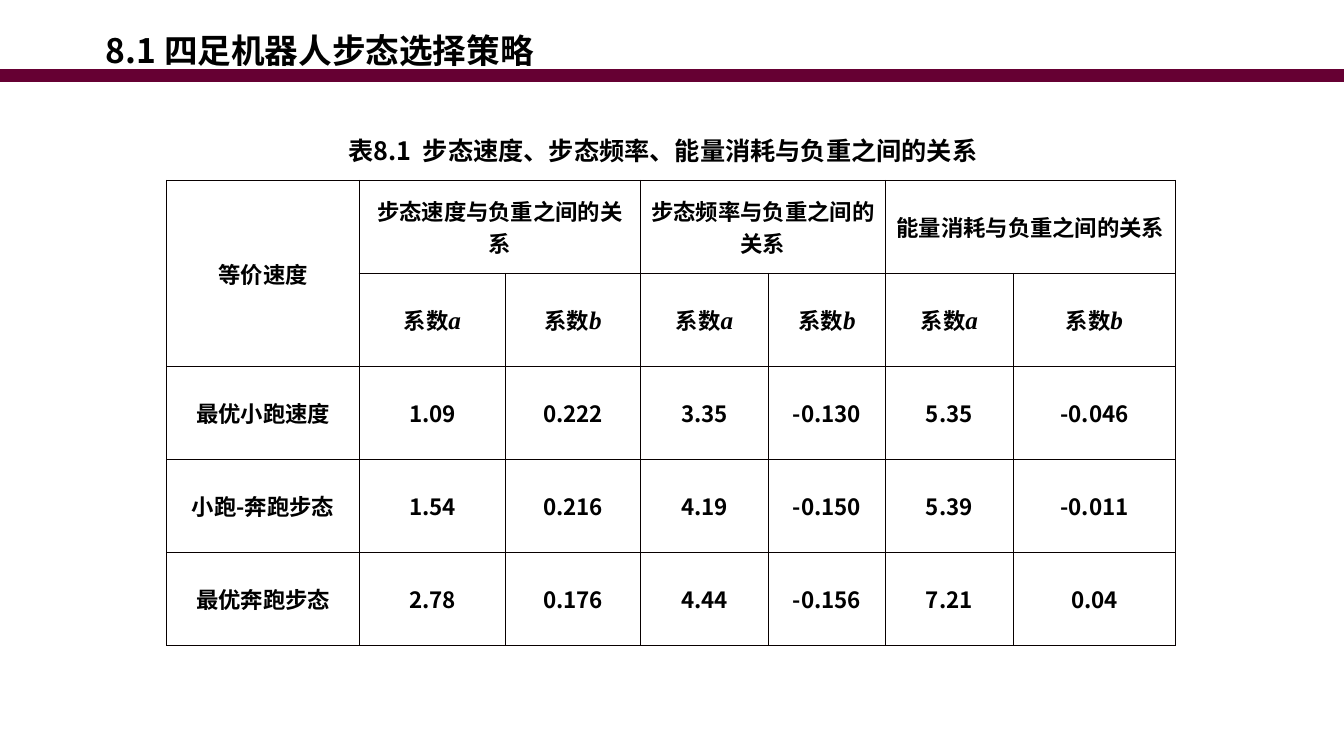
import pptx
import pptx.dml.color
import pptx.enum.shapes
import pptx.enum.text
import pptx.oxml.ns
import pptx.util
from lxml import etree

Pt = pptx.util.Pt
qn = pptx.oxml.ns.qn
Align = pptx.enum.text.PP_ALIGN
Anchor = pptx.enum.text.MSO_ANCHOR
COLORS = {"text": "000000", "bar": "660033", "border": "080000"}
SANS = "Noto Sans CJK SC"
SERIF = "Times New Roman"


def write(para, text, size, face=SANS, italic=False):
    span = para.add_run()
    span.text = text
    formats = {"size": Pt(size), "name": face, "bold": True, "italic": italic}
    for name, value in formats.items():
        setattr(span.font, name, value)
    span.font.color.rgb = pptx.dml.color.RGBColor.from_string(COLORS["text"])
    etree.SubElement(span.font._element, qn("a:ea"), typeface=face)


def add_borders(cell):
    properties = cell._tc.get_or_add_tcPr()
    for index, side in enumerate(("lnL", "lnR", "lnT", "lnB")):
        line = etree.Element(qn(f"a:{side}"), w=str(Pt(1)))
        fill = etree.SubElement(line, qn("a:solidFill"))
        etree.SubElement(fill, qn("a:srgbClr"), val=COLORS["border"])
        properties.insert(index, line)


deck = pptx.Presentation()
deck.slide_width, deck.slide_height = Pt(960), Pt(540)
page = deck.slides.add_slide(deck.slide_layouts[5])

bar = page.shapes.add_connector(
    pptx.enum.shapes.MSO_CONNECTOR.STRAIGHT, Pt(0), Pt(54), Pt(960), Pt(54))
bar.line.width = Pt(9)
bar.line.color.rgb = pptx.dml.color.RGBColor.from_string(COLORS["bar"])
etree.SubElement(bar._element.spPr, qn("a:effectLst"))

title = page.shapes.title
caption = page.shapes.add_textbox(Pt(0), Pt(0), Pt(0), Pt(0))
headings = (
    (title, (68.4, 18, 348.5, 36), "8.1 四足机器人步态选择策略", 24, Align.LEFT),
    (caption, (123.1, 92.9, 700.6, 241.2),
     "表8.1  步态速度、步态频率、能量消耗与负重之间的关系", 18, Align.CENTER),
)
for box, place, text, size, align in headings:
    for name, value in zip(("left", "top", "width", "height"), place):
        setattr(box, name, Pt(value))
    frame = {"word_wrap": True, "vertical_anchor": Anchor.TOP,
             "auto_size": pptx.enum.text.MSO_AUTO_SIZE.NONE}
    for name, value in frame.items():
        setattr(box.text_frame, name, value)
    para = box.text_frame.paragraphs[0]
    para.alignment = align
    write(para, text, size)

widths = (137.5, 104.4, 96.5, 91.4, 83.5, 91.4, 115.9)
relations = ("步态速度与负重之间的关系", "步态频率与负重之间的关系", "能量消耗与负重之间的关系")
rows = [
    ["等价速度"] + [text for relation in relations for text in (relation, "")],
    [""] + ["a", "b"] * len(relations),
    ["最优小跑速度", "1.09", "0.222", "3.35", "-0.130", "5.35", "-0.046"],
    ["小跑-奔跑步态", "1.54", "0.216", "4.19", "-0.150", "5.39", "-0.011"],
    ["最优奔跑步态", "2.78", "0.176", "4.44", "-0.156", "7.21", "0.04"],
]
row_height = 66.4
table = page.shapes.add_table(
    len(rows), len(widths), Pt(119.2), Pt(128.9),
    Pt(sum(widths)), Pt(row_height * len(rows))).table
table.first_row = table.horz_banding = False
for column, width in zip(table.columns, widths):
    column.width = Pt(width)
for row in table.rows:
    row.height = Pt(row_height)

table.cell(0, 0).merge(table.cell(1, 0))
for start in range(1, len(widths), 2):
    table.cell(0, start).merge(table.cell(0, start + 1))

cell_format = {"margin_left": Pt(5), "margin_right": Pt(5), "margin_top": 0,
               "margin_bottom": 0, "vertical_anchor": Anchor.MIDDLE}
for row_index, texts in enumerate(rows):
    for column_index, text in enumerate(texts):
        cell = table.cell(row_index, column_index)
        for name, value in cell_format.items():
            setattr(cell, name, value)
        cell.fill.background()
        add_borders(cell)
        if not text:
            continue
        para = cell.text_frame.paragraphs[0]
        para.alignment = Align.CENTER
        if row_index == 1:
            write(para, "系数", 16)
            write(para, text, 18, SERIF, True)
        else:
            write(para, text, 16)

deck.save("out.pptx")
